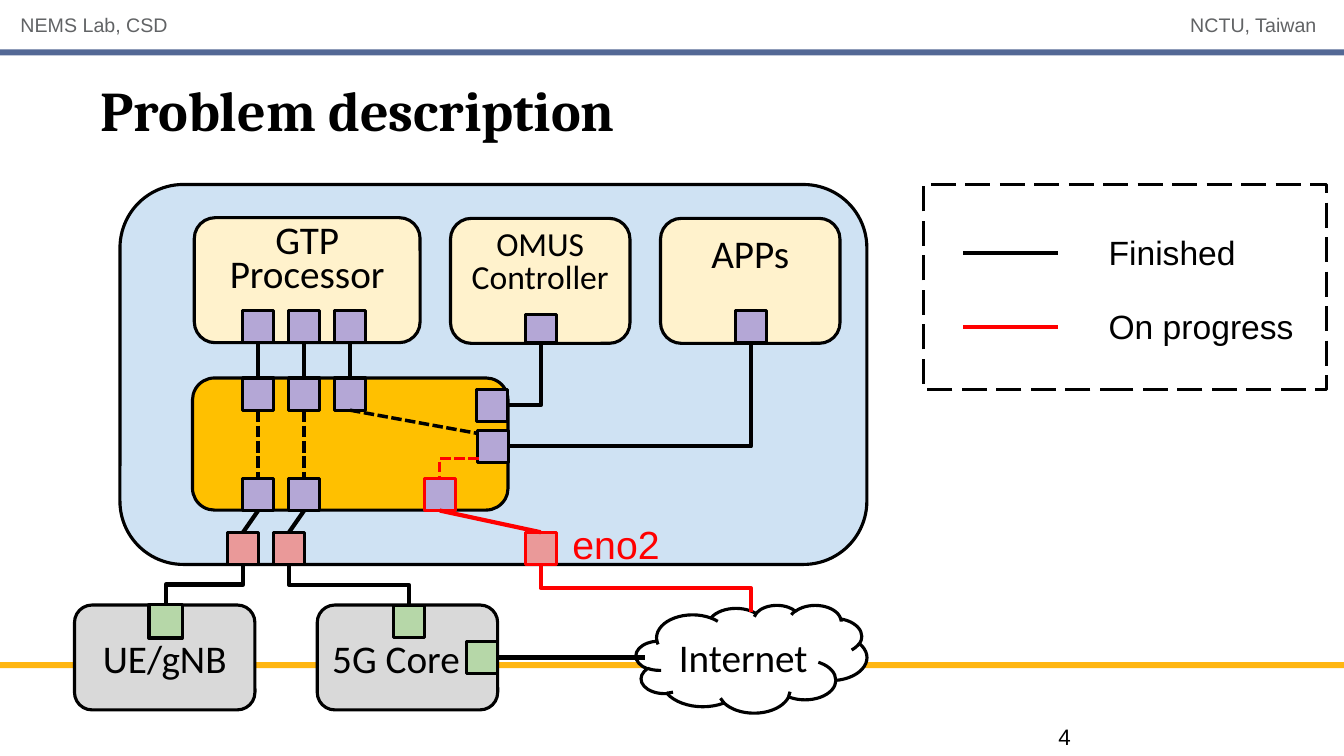
from lxml import etree
from pptx import Presentation
from pptx.dml.color import RGBColor
from pptx.enum.dml import MSO_LINE
from pptx.enum.shapes import MSO_CONNECTOR, MSO_SHAPE
from pptx.enum.text import MSO_ANCHOR, PP_ALIGN
from pptx.oxml.ns import qn
from pptx.util import Pt

RECT, ROUND, CLOUD = MSO_SHAPE.RECTANGLE, MSO_SHAPE.ROUNDED_RECTANGLE, MSO_SHAPE.CLOUD
STRAIGHT, ELBOW = MSO_CONNECTOR.STRAIGHT, MSO_CONNECTOR.ELBOW
LEFT, CENTER, RIGHT = PP_ALIGN.LEFT, PP_ALIGN.CENTER, PP_ALIGN.RIGHT
TOP, MIDDLE = MSO_ANCHOR.TOP, MSO_ANCHOR.MIDDLE
SHORT_DASH, LONG_DASH = MSO_LINE.SQUARE_DOT, MSO_LINE.LONG_DASH
T, L, B, R = range(4)  # connection sites

BLACK, RED, GRAY = "000000", "FF0000", "616365"
CREAM, SILVER, PURPLE, PINK, GREEN = "FFF2CC", "D9D9D9", "B4A7D6", "EA9999", "B6D7A8"

# Content: bars and boxes (left, top, width, height)
BARS = [(473, "FFB612"), (35.3, "536895")]
BOXES = [
    # geometry, box, fill, (text, size, align, anchor, line spacing)
    (ROUND, (85.7, 131.8, 533.5, 271.4), "CFE2F3", None),
    (ROUND, (137.5, 270, 225.4, 94.4), "FFC000", None),
    (ROUND, (138.8, 155.5, 161.3, 89.3), CREAM, ("GTP Processor", 28, CENTER, TOP, 24)),
    (ROUND, (321.8, 156, 128.2, 89.3), CREAM, ("OMUS Controller", 24, CENTER, TOP, 24)),
    (ROUND, (471.8, 156, 128.2, 89.3), CREAM, ("APPs", 28, CENTER, TOP, None)),
    (ROUND, (53.2, 432.2, 128.9, 74.9), SILVER, ("UE/gNB", 28, CENTER, MIDDLE, None)),
    (ROUND, (226.6, 432.2, 128.9, 74.9), SILVER, ("5G Core", 28, LEFT, MIDDLE, None)),
    (CLOUD, (454.3, 432.2, 164.9, 77), "FFFFFF", ("Internet", 28, CENTER, MIDDLE, None)),
]

# Ports: name -> left, top, width, height, fill, line
PORT_W, PORT_H, COL_X, COL_STEP = 22.3, 23, 173.3, 32.8
PORTS = {
    "ue": (106.4, 432, 23.8, 23.8, GREEN, BLACK),
    "core_top": (280.8, 432.2, PORT_W, PORT_H, GREEN, BLACK),
    "core_side": (333.2, 458.1, PORT_W, PORT_H, GREEN, BLACK),
    "controller": (375.1, 224.6, PORT_W, 20.2, PURPLE, BLACK),
    "apps": (525.4, 221.8, PORT_W, PORT_H, PURPLE, BLACK),
    "side_low": (341.1, 307.4, PORT_W, PORT_H, PURPLE, BLACK),
    "side_high": (340.4, 277.9, PORT_W, PORT_H, PURPLE, BLACK),
    "uplink": (303, 341.7, PORT_W, PORT_H, PURPLE, RED),
    "eno2": (375.1, 380.2, PORT_W, PORT_H, PINK, RED),
}
for row, top, count in [("gtp", 221.8, 3), ("in", 270, 3), ("out", 341.7, 2)]:
    for i in range(count):
        PORTS[f"{row}{i}"] = (COL_X + i * COL_STEP, top, PORT_W, PORT_H, PURPLE, BLACK)
for i in range(2):
    PORTS[f"nic{i}"] = (162.5 + i * COL_STEP, 380.2, PORT_W, PORT_H, PINK, BLACK)

# Links: each end is (port, site) or a point; colour, width, dash
LINKS = [
    *[((f"gtp{i}", B), (f"in{i}", T), BLACK, 3, None) for i in range(3)],
    *[((f"in{i}", B), (f"out{i}", T), BLACK, 2.75, SHORT_DASH) for i in range(2)],
    *[((f"out{i}", B), (f"nic{i}", T), BLACK, 3, None) for i in range(2)],
    (("in2", B), (341.3, 309.6), BLACK, 2.5, SHORT_DASH),
    (("core_side", R), (460.8, 469.6), BLACK, 3, None),
    (("uplink", B), ("eno2", T), RED, 3, None),
    ((688, 180.7), (756, 180.7), BLACK, 3, None),
    ((688, 233.3), (756, 233.3), RED, 3, None),
]
CORNERS = [  # across, then up or down
    (("side_high", R), ("controller", B), BLACK, 3, None),
    (("side_low", R), ("apps", B), BLACK, 3, None),
    ((342, 327.6), ("uplink", T), RED, 2.5, SHORT_DASH),
]
STEPS = [  # down, across, down
    (("nic0", B), ("ue", T), BLACK, 3, None),
    (("nic1", B), ("core_top", T), BLACK, 3, None),
    (("eno2", B), (536.4, 437), RED, 3, None),
]

# Texts: text, box, font, size, colour, extras
TEXTS = [
    ("NEMS Lab, CSD", (7.5, 6.5, 422, 26), "Arial", 14, GRAY, dict(spacing=16)),
    ("NCTU, Taiwan", (738.7, 6.5, 208.8, 26), "Arial", 14, GRAY, dict(spacing=16, align=RIGHT)),
    ("4", (756, 514.4, 192, 23), "Arial", 16, BLACK, dict(anchor=MIDDLE, inset=0)),
    ("Problem description", (72, 46.8, 816, 62), "Cambria", 40, BLACK,
     dict(anchor=MIDDLE, inset=0, bold=True)),
    ("Finished", (784.8, 162, 106.6, 36), "Arial", 24, BLACK, dict(wrap=False)),
    ("On progress", (784.8, 215.3, 147.6, 36), "Arial", 24, BLACK, dict(wrap=False)),
    ("eno2", (401.8, 368.4, 77.8, 41), "Arial", 28, RED, dict(wrap=False)),
]
LEGEND = (659.5, 131.8, 288, 146.2)


def color(hex_value):
    return RGBColor.from_string(hex_value)


def pts(values):
    return [Pt(v) for v in values]


def write(s, text, font, size, ink, align=LEFT, anchor=TOP, spacing=None,
          inset=None, bold=False, wrap=True):
    tf = s.text_frame
    frame = dict(word_wrap=wrap, vertical_anchor=anchor)
    if inset is not None:
        sides = ("left", "top", "right", "bottom")
        frame.update({f"margin_{side}": Pt(inset) for side in sides})
    for key, value in frame.items():
        setattr(tf, key, value)
    p = tf.paragraphs[0]
    p.alignment = align
    if spacing:
        p.line_spacing = Pt(spacing)
    r = p.add_run()
    r.text = text
    for key, value in dict(name=font, size=Pt(size), bold=bold).items():
        setattr(r.font, key, value)
    r.font.color.rgb = color(ink)


def set_line(s, ink, width, dash=None):
    s.line.color.rgb = color(ink)
    s.line.width = Pt(width)
    if dash:
        s.line.dash_style = dash


def add_box(geometry, box, fill=None, ink=None, dash=None):
    s = shapes.add_shape(geometry, *pts(box))
    s.shadow.inherit = False
    if fill:
        s.fill.solid()
        s.fill.fore_color.rgb = color(fill)
    else:
        s.fill.background()
    if ink:
        set_line(s, ink, 2.25, dash)
    else:
        s.line.fill.background()
    return s


def point(end):
    """Turn a (port, site) pair into its coordinates."""
    if end[0] not in PORTS:
        return end
    x, y, w, h = PORTS[end[0]][:4]
    return [(x + w / 2, y), (x, y + h / 2), (x + w / 2, y + h), (x + w, y + h / 2)][end[1]]


def add_link(kind, start, stop, ink, width, dash):
    c = shapes.add_connector(kind, *pts((*start, *stop)))
    set_line(c, ink, width, dash)
    etree.SubElement(c._element.spPr, qn("a:effectLst"))
    return c


prs = Presentation()
prs.slide_width, prs.slide_height = Pt(960), Pt(540)
shapes = prs.slides.add_slide(prs.slide_layouts[6]).shapes

# Bars, boxes and ports
for top, fill in BARS:
    add_box(RECT, (0, top, 960, 4.3), fill)
for geometry, box, fill, label in BOXES:
    s = add_box(geometry, box, fill, BLACK)
    if label:
        text, size, align, anchor, spacing = label
        write(s, text, "Calibri", size, BLACK, align, anchor, spacing)
port_shapes = {name: add_box(RECT, port[:4], *port[4:]) for name, port in PORTS.items()}
add_box(RECT, LEGEND, None, BLACK, LONG_DASH)

# Straight links, joined to their ports
for start, stop, *style in LINKS:
    c = add_link(STRAIGHT, point(start), point(stop), *style)
    for end, connect in ((start, c.begin_connect), (stop, c.end_connect)):
        if end[0] in port_shapes:
            connect(port_shapes[end[0]], end[1])

# Elbow links with one corner
for start, stop, *style in CORNERS:
    c = add_link(ELBOW, point(start), point(stop), *style)
    c._element.spPr.find(qn("a:prstGeom")).set("prst", "bentConnector2")

# Elbow links with two corners, turned by 90 degrees
for start, stop, *style in STEPS:
    (x1, y1), (x2, y2) = point(start), point(stop)
    cx, cy, dx, dy = (x1 + x2) / 2, (y1 + y2) / 2, (x2 - x1) / 2, (y2 - y1) / 2
    c = add_link(ELBOW, (cx - dy, cy + dx), (cx + dy, cy - dx), *style)
    c._element.spPr.find(qn("a:xfrm")).set("rot", str(90 * 60000))

# Texts
for text, box, font, size, ink, extras in TEXTS:
    write(shapes.add_textbox(*pts(box)), text, font, size, ink, **extras)

prs.save("out.pptx")
